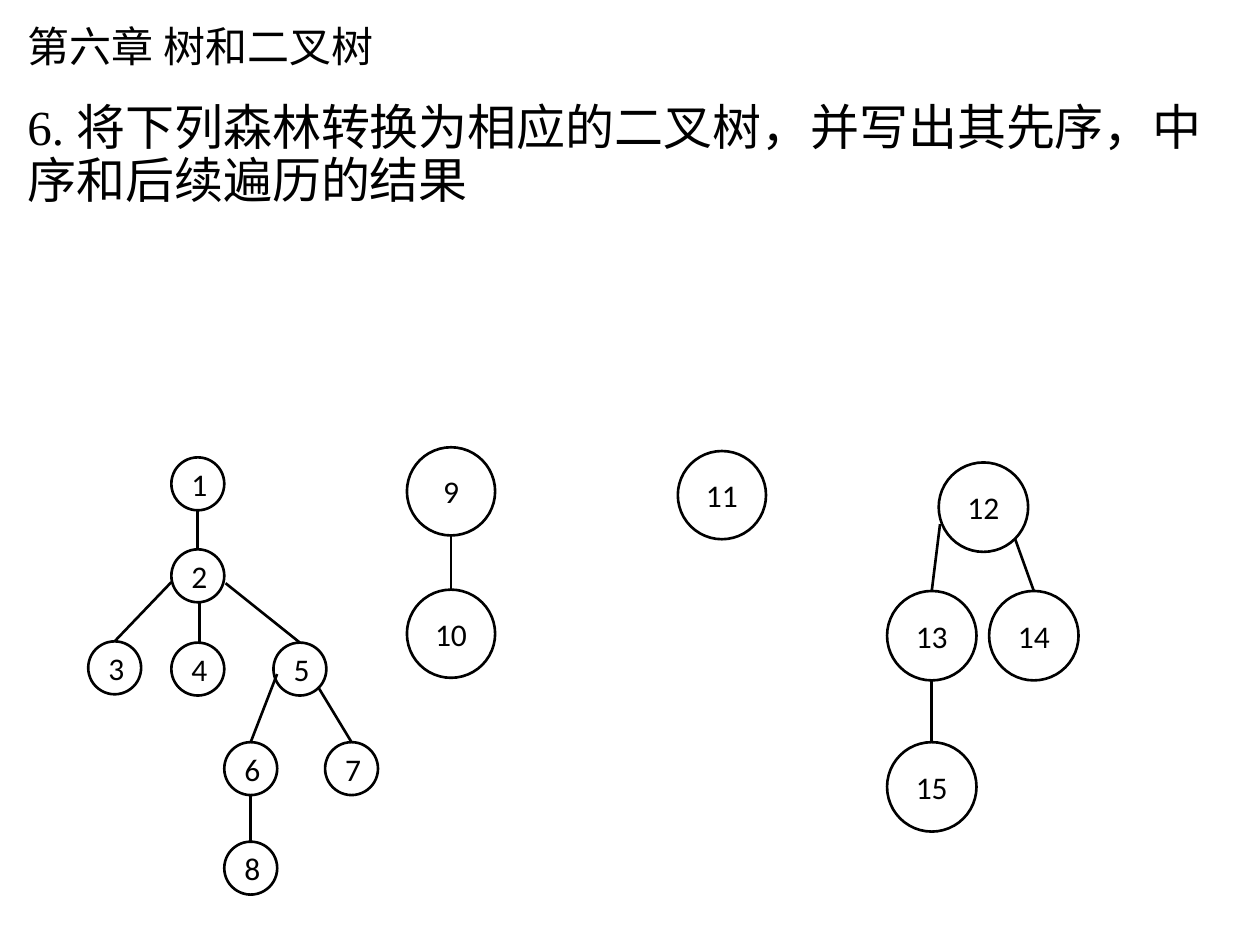
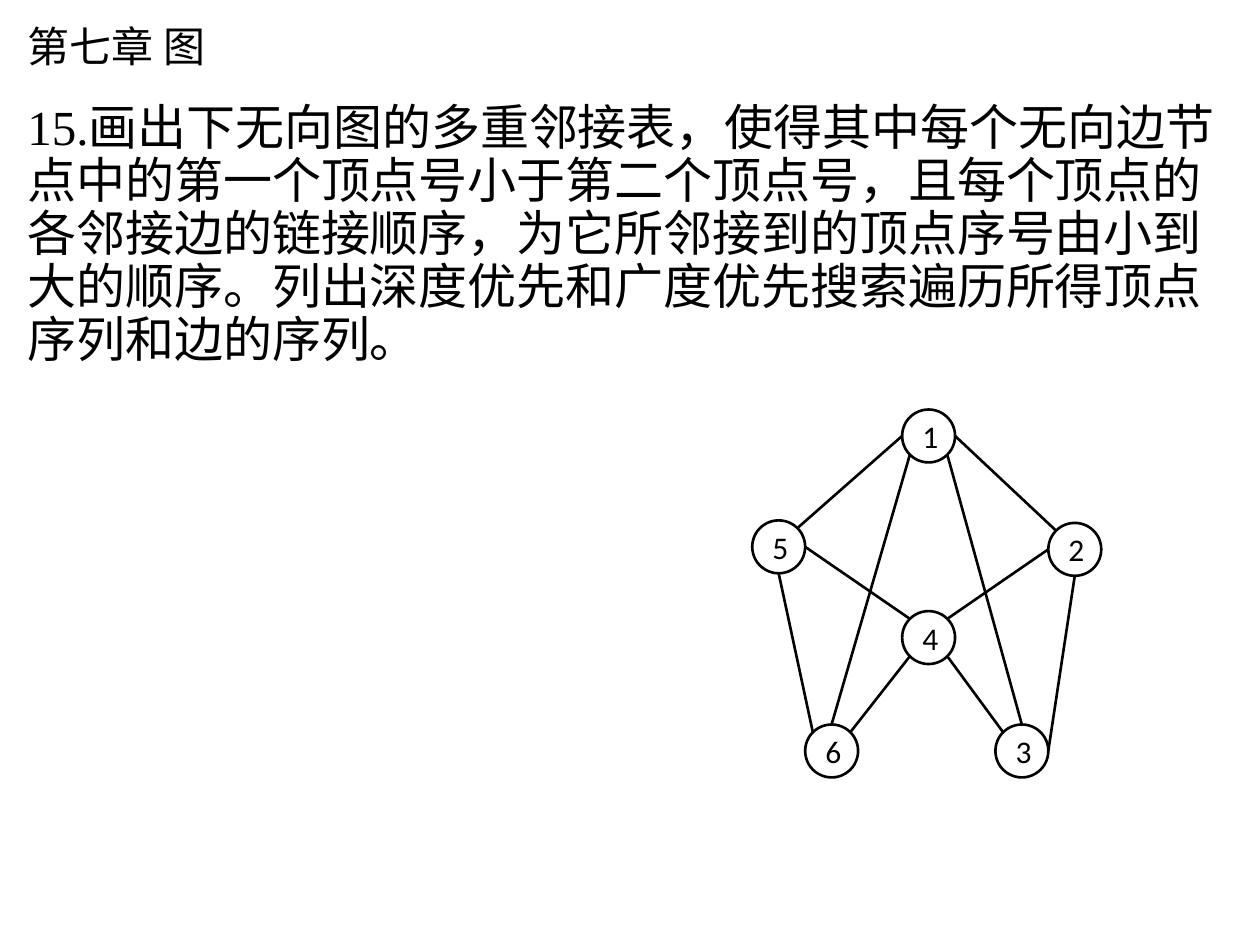
from math import sqrt

from lxml.etree import SubElement
from pptx import Presentation
from pptx.dml.color import RGBColor
from pptx.enum.shapes import MSO_CONNECTOR, MSO_SHAPE
from pptx.enum.text import MSO_ANCHOR, MSO_AUTO_SIZE, PP_ALIGN
from pptx.oxml.ns import qn
from pptx.util import Inches, Pt

BLACK = "000000"
HEADING_FONT, NODE_FONT = "Times New Roman", "Calibri"
TITLE_AREA = (0.12, -0.34, 8.62, 1.45)
BODY_AREA = (0.12, 0.77, 9.67, 6.48)
SMALL, MEDIUM, LARGE = 0.42, 0.7, 0.71

# Where an edge may meet a node, as fractions of the radius from its centre.
DIAGONAL = 1 / sqrt(2)
SITES = {
    "top": (0, -1), "bottom": (0, 1), "left": (-1, 0), "right": (1, 0),
    "top left": (-DIAGONAL, -DIAGONAL), "top right": (DIAGONAL, -DIAGONAL),
    "bottom left": (-DIAGONAL, DIAGONAL), "bottom right": (DIAGONAL, DIAGONAL),
    "low left": (-1, 0.24), "low right": (1.05, 0.28),
    "inner left": (-0.86, 0.19), "lower left": (-0.97, 0.38),
    "near bottom": (0.06, 1), "near top": (0.06, -1),
}

# Nodes: number -> (left, top, diameter). Edges: (node, site, node, site).
FOREST = {
    "title": "第六章 树和二叉树",
    "question": "6. 将下列森林转换为相应的二叉树，并写出其先序，中序和后续遍历的结果",
    "grouped": False,
    "nodes": {
        1: (1.36, 3.63, SMALL), 2: (1.36, 4.36, SMALL),
        3: (0.7, 5.09, SMALL), 4: (1.36, 5.1, SMALL), 5: (2.17, 5.1, SMALL),
        6: (1.78, 5.89, SMALL), 7: (2.58, 5.89, SMALL), 8: (1.78, 6.68, SMALL),
        9: (3.23, 3.55, MEDIUM), 10: (3.23, 4.68, MEDIUM),
        11: (5.38, 3.58, MEDIUM),
        12: (7.45, 3.67, LARGE), 13: (7.04, 4.69, LARGE),
        14: (7.85, 4.69, LARGE), 15: (7.04, 5.89, LARGE),
    },
    "edges": [
        (1, "bottom", 2, "top"), (2, "low left", 3, "top"),
        (2, "near bottom", 4, "near top"), (2, "low right", 5, "top"),
        (5, "inner left", 6, "top"), (5, "bottom right", 7, "top"),
        (6, "bottom", 8, "top"), (9, "bottom", 10, "top"),
        (12, "lower left", 13, "top"), (12, "bottom right", 14, "top"),
        (13, "bottom", 15, "top"),
    ],
}
GRAPH = {
    "title": "第七章 图",
    "question": "15.画出下无向图的多重邻接表，使得其中每个无向边节点中的第一个顶点号小于"
                "第二个顶点号，且每个顶点的各邻接边的链接顺序，为它所邻接到的顶点序号"
                "由小到大的顺序。列出深度优先和广度优先搜索遍历所得顶点序列和边的序列。",
    "grouped": True,
    "nodes": {
        1: (7.16, 3.25, SMALL), 5: (5.97, 4.13, SMALL), 2: (8.32, 4.15, SMALL),
        6: (6.39, 5.75, SMALL), 3: (7.9, 5.75, SMALL), 4: (7.16, 4.85, SMALL),
    },
    "edges": [
        (1, "left", 5, "top right"), (1, "right", 2, "top left"),
        (1, "bottom left", 6, "top"), (1, "bottom right", 3, "top"),
        (5, "right", 4, "top left"), (2, "left", 4, "top right"),
        (4, "bottom left", 6, "top right"), (4, "bottom right", 3, "top left"),
        (6, "top left", 5, "bottom"), (2, "bottom", 3, "right"),
    ],
}


def color(value):
    """Turn a hex string into a colour."""
    return RGBColor.from_string(value)


def style(para, font_name, size):
    """Set the font of a paragraph."""
    para.font.name = font_name
    para.font.size = Pt(size)
    para.font.color.rgb = color(BLACK)


def outline(shape):
    """Give a node or an edge its black line."""
    shape.line.color.rgb = color(BLACK)
    shape.line.width = Pt(1.5)


def add_heading(page, title, question):
    """Fill the chapter title and the question below it."""
    box = page.shapes.title
    box.left, box.top, box.width, box.height = map(Inches, TITLE_AREA)
    body = page.shapes.add_textbox(*map(Inches, BODY_AREA))
    for shape, words, size, anchor in (
            (box, title, 24, MSO_ANCHOR.MIDDLE),
            (body, question, 28, MSO_ANCHOR.TOP)):
        frame = shape.text_frame
        frame.text = words
        frame.word_wrap = True
        frame.auto_size = MSO_AUTO_SIZE.NONE
        frame.vertical_anchor = anchor
        para = frame.paragraphs[0]
        para.alignment = PP_ALIGN.LEFT
        para.line_spacing = 0.9
        style(para, HEADING_FONT, size)
    body.text_frame.paragraphs[0].space_before = Pt(10)


def add_node(shapes, number, left, top, diameter):
    """Draw a numbered circle."""
    node = shapes.add_shape(
        MSO_SHAPE.OVAL, *map(Inches, (left, top, diameter, diameter)))
    node.shadow.inherit = False
    node.fill.background()
    outline(node)
    frame = node.text_frame
    frame.text = str(number)
    frame.vertical_anchor = MSO_ANCHOR.MIDDLE
    para = frame.paragraphs[0]
    para.alignment = PP_ALIGN.CENTER
    style(para, NODE_FONT, 18)


def site_point(node, site):
    """Find the point where an edge meets a node."""
    left, top, diameter = node
    radius = diameter / 2
    across, down = SITES[site]
    return Inches(left + radius * (1 + across)), Inches(top + radius * (1 + down))


def add_edge(shapes, start, end):
    """Draw a straight line between two points."""
    edge = shapes.add_connector(MSO_CONNECTOR.STRAIGHT, *start, *end)
    outline(edge)
    SubElement(edge._element.spPr, qn("a:effectLst"))


def add_diagram(page, content):
    """Draw the nodes and the edges between them."""
    shapes = page.shapes.add_group_shape().shapes if content["grouped"] else page.shapes
    nodes = content["nodes"]
    for number, place in nodes.items():
        add_node(shapes, number, *place)
    for first, first_site, second, second_site in content["edges"]:
        add_edge(shapes, site_point(nodes[first], first_site),
                 site_point(nodes[second], second_site))


deck = Presentation()
deck.slide_width, deck.slide_height = Inches(10), Inches(7.5)
for content in (FOREST, GRAPH):
    page = deck.slides.add_slide(deck.slide_layouts[5])
    add_heading(page, content["title"], content["question"])
    add_diagram(page, content)
deck.save("out.pptx")
